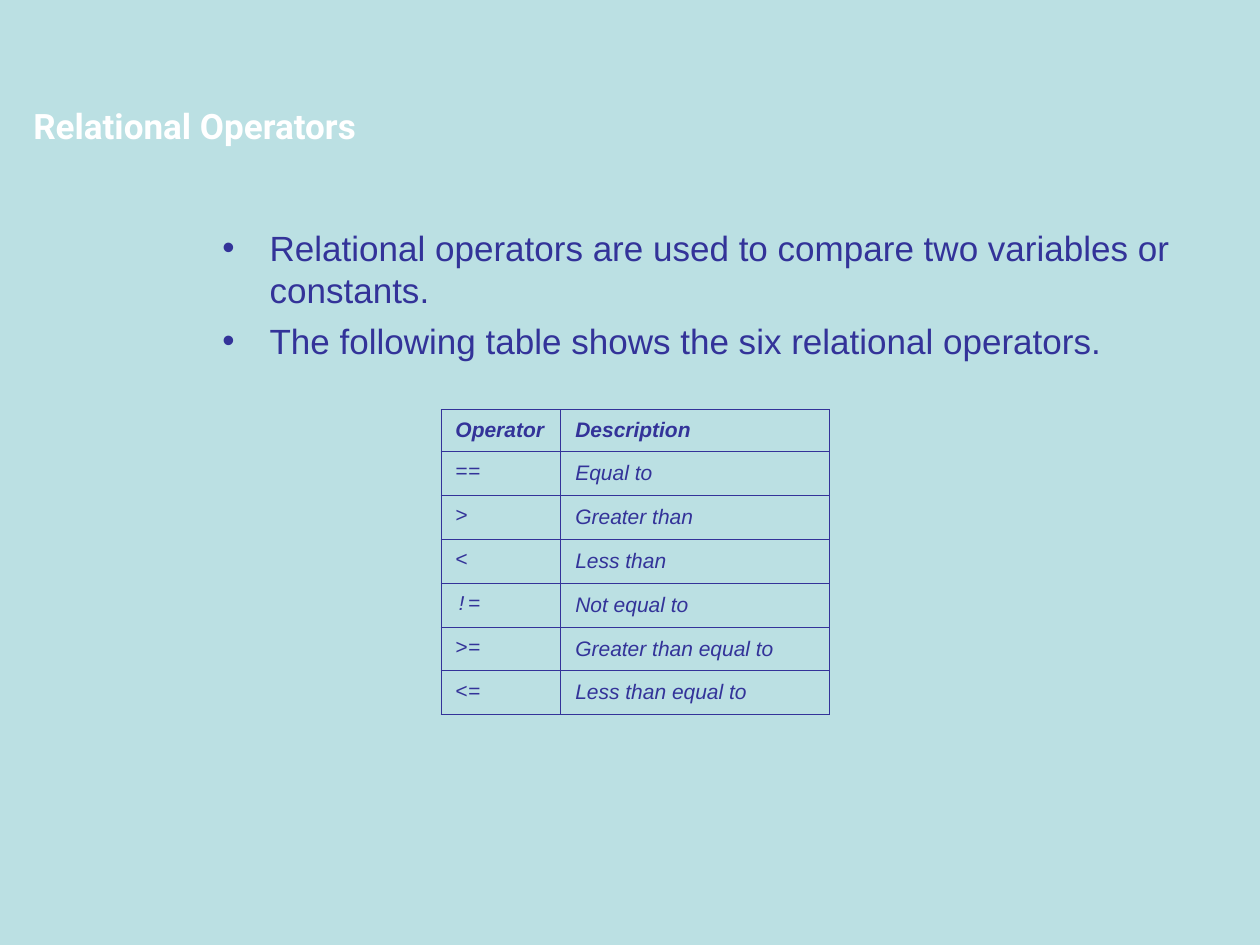
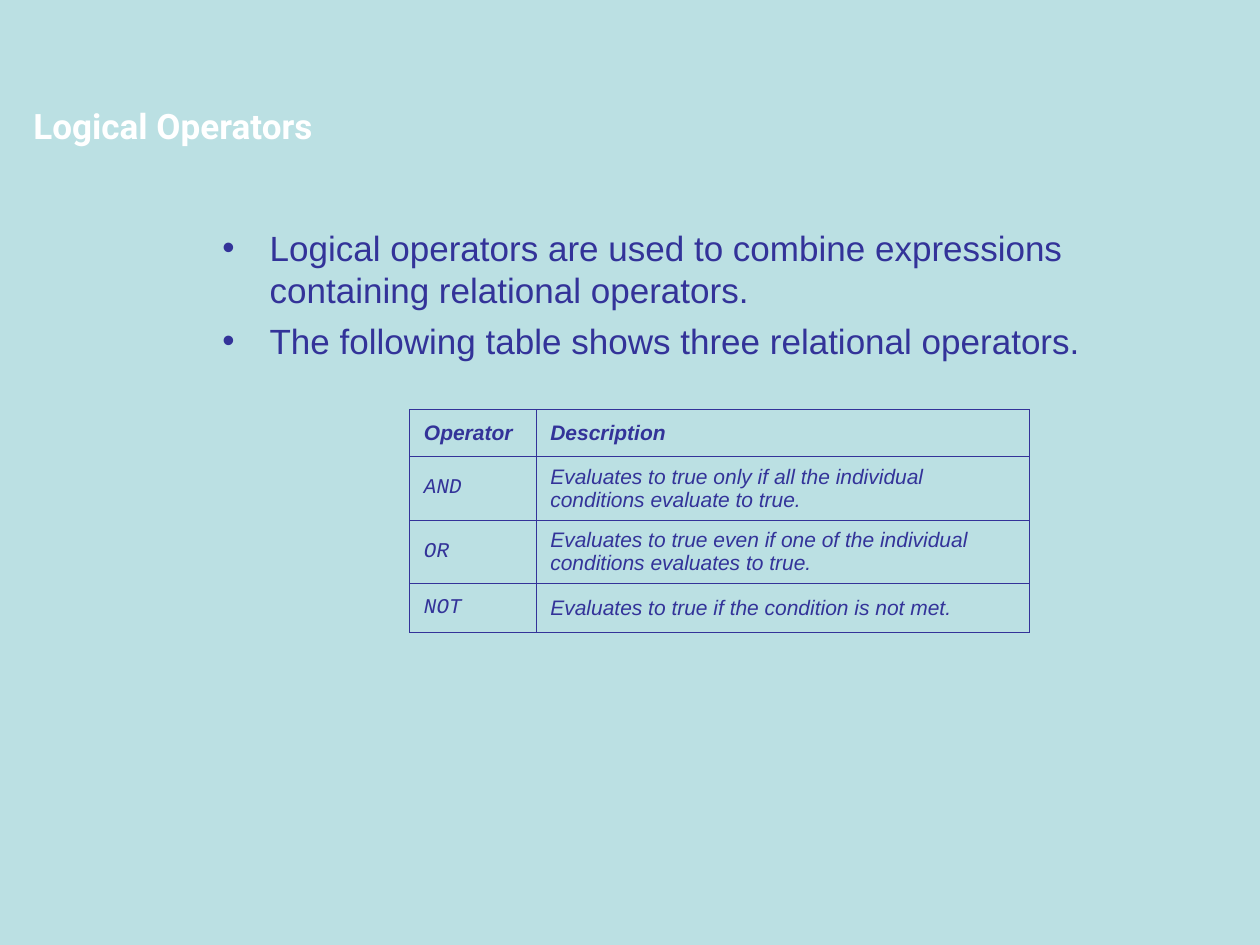
from lxml import etree
from pptx import Presentation
from pptx.dml.color import RGBColor
from pptx.enum import text as te
from pptx.oxml import ns
from pptx.util import Pt

INK = {"back": "BBE0E3", "text": "333399", "title": "FFFFFF"}

PAGES = [
    dict(
        title="Relational Operators",
        points=["Relational operators are used to compare two variables or constants.",
                "The following table shows the six relational operators."],
        left=252, cols=[68.5, 153.25], rows=[24] + [25.08] * 6,
        cells=[("Operator", "Description"),
               ("==", "Equal to"),
               (">", "Greater than"),
               ("<", "Less than"),
               ("!=", "Not equal to"),
               (">=", "Greater than equal to"),
               ("<=", "Less than equal to")]),
    dict(
        title="Logical Operators",
        points=["Logical operators are used to combine expressions containing relational operators.",
                "The following table shows three relational operators."],
        left=234, cols=[72.25, 281.75], rows=[27, 36.25, 36.25, 28],
        cells=[("Operator", "Description"),
               ("AND", "Evaluates to true only if all the individual conditions evaluate to true."),
               ("OR", "Evaluates to true even if one of the individual conditions evaluates to true."),
               ("NOT", "Evaluates to true if the condition is not met.")]),
]


def write(para, words, size=20, font="Arial", ink="text", bold=False, slant=False,
          before=0, after=0, left=0, bullet=False):
    """Fill a paragraph with one run; a bullet hangs in the left indent."""
    run = para.add_run()
    run.text = words
    face = run.font
    face.size, face.name, face.bold, face.italic = Pt(size), font, bold, slant
    face.color.rgb = RGBColor.from_string(INK[ink])
    para.space_before, para.space_after = Pt(before), Pt(after)
    props = para._p.get_or_add_pPr()
    props.set("marL", str(Pt(left)))
    props.set("indent", str(Pt(-left) if bullet else 0))
    if bullet:
        tint = etree.SubElement(props, ns.qn("a:buClr"))
        etree.SubElement(tint, ns.qn("a:srgbClr"), val=INK[ink])
        etree.SubElement(props, ns.qn("a:buFont"), typeface="Arial")
        etree.SubElement(props, ns.qn("a:buChar"), char="•")


def frame(cell):
    """Draw a thin line on all four sides of a table cell."""
    props = cell._tc.get_or_add_tcPr()
    for spot, side in enumerate(["lnL", "lnR", "lnT", "lnB"]):
        line = etree.Element(ns.qn("a:" + side), w=str(Pt(0.45)))
        fill = etree.SubElement(line, ns.qn("a:solidFill"))
        etree.SubElement(fill, ns.qn("a:srgbClr"), val=INK["text"])
        props.insert(spot, line)


deck = Presentation()
deck.slide_width, deck.slide_height = Pt(720), Pt(540)
back = deck.slide_master.background.fill
back.solid()
back.fore_color.rgb = RGBColor.from_string(INK["back"])

for page in PAGES:
    slide = deck.slides.add_slide(deck.slide_layouts[6])

    body = slide.shapes.add_textbox(Pt(120), Pt(126), Pt(576), Pt(360)).text_frame
    body.word_wrap = True
    for count, point in enumerate(page["points"]):
        para = body.add_paragraph() if count else body.paragraphs[0]
        write(para, point, before=5, left=27, bullet=True)

    title = slide.shapes.add_textbox(Pt(12), Pt(56.25), Pt(540), Pt(31.5)).text_frame
    title.word_wrap = True
    title.auto_size = te.MSO_AUTO_SIZE.SHAPE_TO_FIT_TEXT
    write(title.paragraphs[0], page["title"], font="Roboto", ink="title", bold=True, before=12.5)

    cols, rows = page["cols"], page["rows"]
    grid = slide.shapes.add_table(len(rows), len(cols), Pt(page["left"]), Pt(234),
                                  Pt(sum(cols)), Pt(sum(rows))).table
    grid.first_row = grid.horz_banding = False
    for col, width in zip(grid.columns, cols):
        col.width = Pt(width)
    for row, height in zip(grid.rows, rows):
        row.height = Pt(height)
    for r, line in enumerate(page["cells"]):
        for c, words in enumerate(line):
            cell = grid.cell(r, c)
            cell.fill.background()
            frame(cell)
            cell.vertical_anchor = te.MSO_ANCHOR.MIDDLE
            cell.margin_left = cell.margin_right = Pt(5.4)
            cell.margin_top = cell.margin_bottom = Pt(3.6)
            write(cell.text_frame.paragraphs[0], words, size=12,
                  font="Courier New" if r and not c else "Arial",
                  bold=r == 0, slant=True, before=6, after=7, left=2.9)

deck.save("out.pptx")
